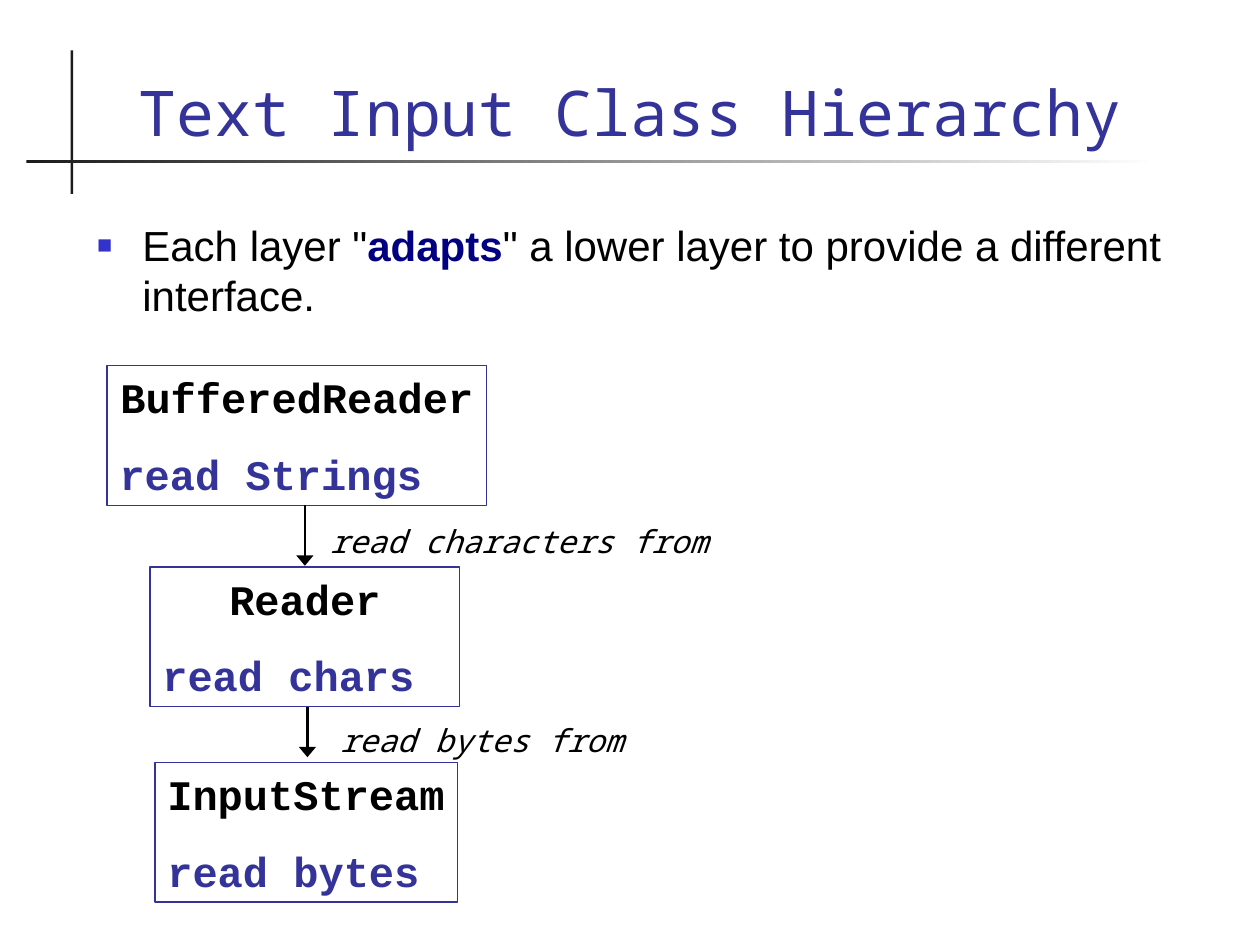
from lxml.etree import SubElement
from pptx import Presentation
from pptx.dml.color import RGBColor
from pptx.enum.shapes import MSO_CONNECTOR, MSO_SHAPE
from pptx.enum.text import MSO_ANCHOR, MSO_AUTO_SIZE, PP_ALIGN
from pptx.oxml.ns import qn
from pptx.util import Inches, Pt

C = {"ink": "000000", "rule": "1C1C1C", "paper": "FFFFFF",
     "indigo": "333399", "navy": "000080", "bullet": "3333CC"}

prs = Presentation()
prs.slide_width, prs.slide_height = Inches(10), Inches(7.5)
col, row = prs.slide_width / 100, prs.slide_height / 75
s = prs.slides.add_slide(prs.slide_layouts[1])


def grid(x, y, w, h):
    return int(x * col), int(y * row), int(w * col), int(h * row)


def write(p, text, color, **fmt):
    r = p.add_run()
    r.text = text
    r.font.color.rgb = RGBColor.from_string(C[color])
    for key, value in fmt.items():
        setattr(r.font, key, value)


for box in [(5.6, 4, 0.2, 11.4), (2.1, 12.7, 89.9, 0.2)]:
    sp = s.shapes.add_shape(MSO_SHAPE.RECTANGLE, *grid(*box))
    sp.shadow.inherit = False
    sp.line.fill.background()
    sp.fill.solid()
    sp.fill.fore_color.rgb = RGBColor.from_string(C["rule"])
sp.fill.gradient()
sp.fill.gradient_angle = 0
for stop, name, pos in zip(sp.fill.gradient_stops, ("rule", "paper"), (0, 1)):
    stop.color.rgb = RGBColor.from_string(C[name])
    stop.position = pos

title, body = s.shapes.title, s.placeholders[1]
for sp, box, anchor in [(title, (6.7, 2.8, 86.6, 9.5), MSO_ANCHOR.BOTTOM),
                        (body, (6.7, 16.9, 86.6, 10.3), MSO_ANCHOR.TOP)]:
    sp.left, sp.top, sp.width, sp.height = grid(*box)
    sp.text_frame.auto_size = MSO_AUTO_SIZE.NONE
    sp.text_frame.vertical_anchor = anchor

p = title.text_frame.paragraphs[0]
p.alignment = PP_ALIGN.CENTER
write(p, "Text Input Class Hierarchy", "indigo", size=Pt(36), name="Noto Sans Mono")

p = body.text_frame.paragraphs[0]
p.space_before = Pt(0)
pPr = p._p.get_or_add_pPr()
pPr.set("marL", str(int(3.6 * col)))
pPr.set("indent", str(int(-3.6 * col)))
SubElement(SubElement(pPr, qn("a:buClr")), qn("a:srgbClr"), val=C["bullet"])
SubElement(pPr, qn("a:buSzPct"), val="60000")
SubElement(pPr, qn("a:buFont"), typeface="Arial")
SubElement(pPr, qn("a:buChar"), char="■")
for text, color, bold in [('Each layer "', "ink", False), ("adapts", "navy", True),
                          ('" a lower layer to provide a different interface.', "ink", False)]:
    write(p, text, color, size=Pt(24), name="Arial", bold=bold)

layers = [
    ("BufferedReader", "read Strings", (8.5, 29, 30.1, 11.1), PP_ALIGN.CENTER, True),
    ("Reader", "read chars", (11.9, 45, 24.6, 11.1), PP_ALIGN.CENTER, True),
    ("InputStream", "read bytes", (12.3, 60.5, 24, 11.1), PP_ALIGN.LEFT, False),
]
for name, task, box, align, wrap in layers:
    sp = s.shapes.add_shape(MSO_SHAPE.RECTANGLE, *grid(*box))
    sp.shadow.inherit = False
    sp.fill.background()
    sp.line.color.rgb = RGBColor.from_string(C["indigo"])
    sp.line.width = Pt(0.75)
    tf = sp.text_frame
    for key, value in {"word_wrap": wrap, "vertical_anchor": MSO_ANCHOR.TOP,
                       "margin_top": int(0.5 * row), "margin_bottom": 0}.items():
        setattr(tf, key, value)
    p = tf.paragraphs[0]
    p.alignment = align
    write(p, name, "ink", size=Pt(24), name="Courier New", bold=True)
    p = tf.add_paragraph()
    p.alignment = PP_ALIGN.LEFT
    p.space_before = Pt(15)
    write(p, task, "indigo", size=Pt(24), name="Courier New", bold=True)

steps = [
    ("read characters from", (24.2, 40.1, 24.2, 44.9), (25.2, 40.9, 37.8, 4)),
    ("read bytes from", (24.4, 56.1, 24.4, 60.1), (26, 56.7, 37.8, 4)),
]
for text, ends, box in steps:
    cx = s.shapes.add_connector(MSO_CONNECTOR.STRAIGHT, *grid(*ends))
    cx.line.color.rgb = RGBColor.from_string(C["ink"])
    cx.line.width = Pt(1.5)
    SubElement(cx.line._get_or_add_ln(), qn("a:tailEnd"), type="triangle", w="lg")
    SubElement(cx._element.spPr, qn("a:effectLst"))
    tf = s.shapes.add_textbox(*grid(*box)).text_frame
    tf.word_wrap = True
    write(tf.paragraphs[0], text, "ink", size=Pt(18), name="Noto Sans Mono", italic=True)

prs.save("out.pptx")
